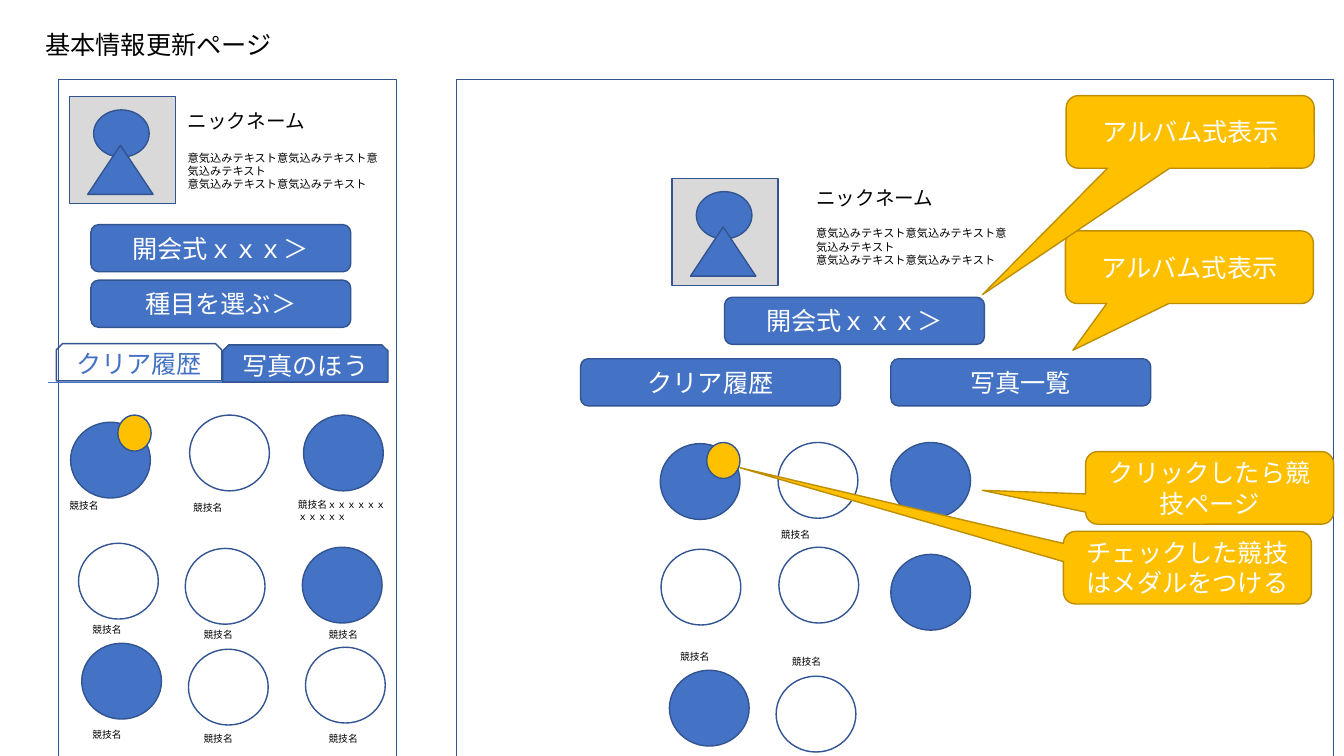
from lxml.etree import SubElement
from pptx import Presentation
from pptx.dml.color import RGBColor
from pptx.enum.shapes import MSO_CONNECTOR, MSO_SHAPE as SHP
from pptx.enum.text import MSO_ANCHOR as ANC, MSO_AUTO_SIZE as FIT, PP_ALIGN as AL
from pptx.oxml.ns import qn
from pptx.util import Cm, Pt

FONT = "Noto Sans CJK JP"
BLUE = RGBColor(0x44, 0x72, 0xC4)
NAVY = RGBColor(0x32, 0x54, 0x91)
GOLD = RGBColor(0xFF, 0xC0, 0x00)
BROWN = RGBColor(0xBD, 0x8E, 0x00)
GREY = RGBColor(0xD9, 0xD9, 0xD9)
WHITE = RGBColor(0xFF, 0xFF, 0xFF)
BLACK = RGBColor(0x00, 0x00, 0x00)

EVENT = "競技名"
PLEDGE = "意気込みテキスト"
CEREMONY = "開会式ｘｘｘ＞"
HISTORY = "クリア履歴"
ALBUM = "アルバム式表示"

LEFT_EVENTS = [
    (1.78, 10.64, BLUE), (4.78, 10.46, None), (7.65, 10.46, BLUE),
    (1.98, 13.69, None), (4.67, 13.82, None), (7.62, 13.79, BLUE),
    (2.06, 16.21, BLUE), (4.75, 16.36, None), (7.7, 16.31, None),
]
LEFT_LABELS = [
    (1.5, 12.47), (4.62, 12.52),
    (2.08, 15.6), (4.88, 15.72), (8.03, 15.72),
    (2.08, 18.24), (4.88, 18.34), (8.03, 18.34),
]
RIGHT_EVENTS = [
    (16.64, 11.18, BLUE), (19.61, 11.15, None), (22.45, 11.15, BLUE),
    (16.66, 13.84, None), (19.63, 13.79, None), (22.45, 13.97, BLUE),
    (16.87, 16.89, BLUE), (19.56, 17.04, None),
]
RIGHT_LABELS = [(19.43, 13.21), (16.89, 16.28), (19.71, 16.41)]
CALLOUTS = [
    (27.36, 11.38, "クリックしたら競技ページ", -0.916, 0.034),
    (26.8, 13.39, "チェックした競技はメダルをつける", -1.805, -1.377),
    (26.85, 5.82, ALBUM, -0.47, 1.144),
    (26.87, 2.41, ALBUM, -0.838, 2.241),
]


def add_run(p, text, size, color):
    r = p.add_run()
    r.text = text
    r.font.size = Pt(size)
    r.font.name = FONT
    r.font.color.rgb = color
    SubElement(r.font._element, qn("a:ea"), typeface=FONT)


def add_box(shapes, kind, x, y, w, h, fill=None, line=NAVY):
    sp = shapes.add_shape(kind, Cm(x), Cm(y), Cm(w), Cm(h))
    sp.shadow.inherit = False
    if fill is None:
        sp.fill.background()
    else:
        sp.fill.solid()
        sp.fill.fore_color.rgb = fill
    sp.line.color.rgb = line
    sp.line.width = Pt(1)
    return sp


def add_caption(sp, text, color=WHITE):
    tf = sp.text_frame
    tf.word_wrap = True
    tf.vertical_anchor = ANC.MIDDLE
    p = tf.paragraphs[0]
    p.alignment = AL.CENTER
    add_run(p, text, 18, color)


def add_text(s, x, y, w, h, size, *lines):
    tf = s.shapes.add_textbox(Cm(x), Cm(y), Cm(w), Cm(h)).text_frame
    tf.word_wrap = True
    tf.auto_size = FIT.SHAPE_TO_FIT_TEXT
    for i, line in enumerate(lines):
        p = tf.add_paragraph() if i else tf.paragraphs[0]
        add_run(p, line, size, BLACK)


def add_title(s, text):
    sp = s.shapes.title
    sp.left, sp.top, sp.width, sp.height = Cm(0.89), Cm(0.61), Cm(6.27), Cm(1.02)
    tf = sp.text_frame
    tf.word_wrap = False
    tf.auto_size = FIT.NONE
    tf.vertical_anchor = ANC.TOP
    p = tf.paragraphs[0]
    p.alignment = AL.LEFT
    add_run(p, text, 18, BLACK)


def add_panel(s, x, w):
    add_box(s.shapes, SHP.RECTANGLE, x, 2.01, w, 18.21)


def add_button(s, x, y, text):
    add_caption(add_box(s.shapes, SHP.ROUNDED_RECTANGLE, x, y, 6.55, 1.19, BLUE), text)


def add_avatar(s, x, y):
    shapes = s.shapes.add_group_shape().shapes
    add_box(shapes, SHP.RECTANGLE, x, y, 2.67, 2.69, GREY)
    add_box(shapes, SHP.OVAL, x + 0.61, y + 0.33, 1.4, 1.19, BLUE)
    add_box(shapes, SHP.ISOSCELES_TRIANGLE, x + 0.46, y + 1.22, 1.65, 1.24, BLUE)


def add_profile(s, x, name_y, pledge_y):
    add_text(s, x, name_y, 7.82, 0.86, 14, "ニックネーム")
    add_text(s, x, pledge_y, 5.38, 1.63, 8, PLEDGE * 3, PLEDGE * 2)


def add_events(s, events, labels):
    for x, y, fill in events:
        add_box(s.shapes, SHP.OVAL, x, y, 2.01, 1.91, fill)
    for x, y in labels:
        add_text(s, x, y, 2.72, 0.56, 7, EVENT)


def add_medal(s, x, y):
    add_box(s.shapes, SHP.OVAL, x, y, 0.84, 0.91, GOLD)


def add_tab(s, x, y, text, fill, color):
    sp = add_box(s.shapes, SHP.SNIP_2_SAME_RECTANGLE, x, y, 4.17, 0.94, fill)
    add_caption(sp, text, color)


def add_rule(s, x1, x2, y):
    ln = s.shapes.add_connector(MSO_CONNECTOR.STRAIGHT, Cm(x1), Cm(y), Cm(x2), Cm(y))
    ln.line.color.rgb = BLUE
    ln.line.width = Pt(0.5)
    SubElement(ln._element.spPr, qn("a:effectLst"))


def add_callout(s, x, y, text, tip_x, tip_y):
    sp = add_box(s.shapes, SHP.ROUNDED_RECTANGULAR_CALLOUT, x, y, 6.25, 1.83, GOLD, BROWN)
    sp.adjustments[0] = tip_x
    sp.adjustments[1] = tip_y
    add_caption(sp, text)


def add_phone_page(s):
    add_panel(s, 1.47, 8.53)
    add_events(s, LEFT_EVENTS, LEFT_LABELS)
    add_text(s, 7.26, 12.45, 2.72, 0.86, 7, EVENT + "ｘ" * 11)
    add_medal(s, 2.97, 10.46)
    add_rule(s, 1.22, 9.75, 9.63)
    add_tab(s, 1.42, 8.66, HISTORY, None, BLUE)
    add_tab(s, 5.61, 8.69, "写真のほう", BLUE, WHITE)
    add_button(s, 2.29, 5.66, CEREMONY)
    add_button(s, 2.29, 7.06, "種目を選ぶ＞")
    add_avatar(s, 1.75, 2.44)
    add_profile(s, 4.48, 2.62, 3.68)


def add_desktop_page(s):
    add_panel(s, 11.51, 22.1)
    add_avatar(s, 16.94, 4.5)
    add_profile(s, 20.32, 4.57, 5.59)
    add_button(s, 18.26, 7.49, CEREMONY)
    add_button(s, 14.63, 9.04, HISTORY)
    add_button(s, 22.45, 9.04, "写真一覧")
    add_events(s, RIGHT_EVENTS, RIGHT_LABELS)
    add_medal(s, 17.81, 11.15)
    for callout in CALLOUTS:
        add_callout(s, *callout)


def main():
    prs = Presentation()
    prs.slide_width, prs.slide_height = Cm(33.87), Cm(19.05)
    s = prs.slides.add_slide(prs.slide_layouts[5])
    add_title(s, "基本情報更新ページ")
    add_phone_page(s)
    add_desktop_page(s)
    prs.save("out.pptx")


main()
